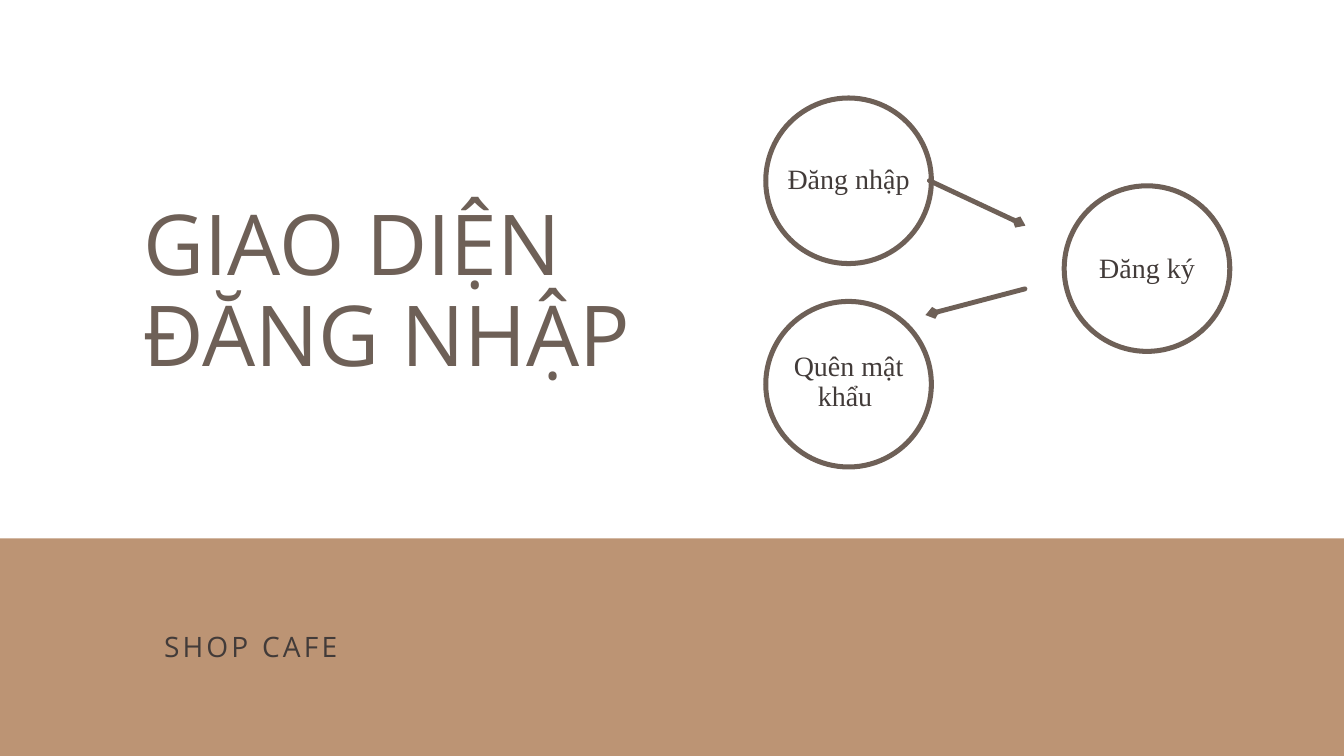
from dataclasses import dataclass

from lxml import etree
from pptx import Presentation
from pptx import util as u
from pptx.dml.color import RGBColor
from pptx.enum import shapes, text
from pptx.oxml.ns import qn


@dataclass(frozen=True)
class Theme:
    brown: RGBColor = RGBColor(0x6E, 0x60, 0x57)
    tan: RGBColor = RGBColor(0xBC, 0x94, 0x74)
    ink: RGBColor = RGBColor(0x42, 0x3B, 0x39)
    sans: str = "Open Sans"
    serif: str = "Times New Roman"
    title_size: float = 90
    caption_size: float = 30.1
    node_size: float = 30
    arrow_width: float = 5.25


THEME = Theme()
SLIDE_WIDTH, SLIDE_HEIGHT = 50.8, 28.58
CIRCLE_DIAMETER, RING_WIDTH = 6.45, 0.19
LABEL_WIDTH = 5.79


def add_label(slide, box, wording, font, size, color, line_height,
              align=text.PP_ALIGN.LEFT, tracking=0):
    label = slide.shapes.add_textbox(*map(u.Cm, box))
    frame = label.text_frame
    frame.word_wrap = True
    frame.margin_left = frame.margin_right = 0
    frame.margin_top = frame.margin_bottom = 0
    paragraph = frame.paragraphs[0]
    paragraph.alignment = align
    paragraph.line_spacing = u.Pt(line_height)
    run = paragraph.add_run()
    run.text = wording
    run.font.name = font
    run.font.size = u.Pt(size)
    run.font.color.rgb = color
    if tracking:
        run.font._element.set("spc", str(round(tracking * 100)))


def add_filled_shape(slide, preset, box, color):
    shape = slide.shapes.add_shape(preset, *map(u.Cm, box))
    shape.shadow.inherit = False
    shape.fill.solid()
    shape.fill.fore_color.rgb = color
    shape.line.fill.background()
    return shape


def add_node(slide, left, top, wording, label_top, label_height):
    box = (left, top, CIRCLE_DIAMETER, CIRCLE_DIAMETER)
    ring = add_filled_shape(slide, shapes.MSO_SHAPE.DONUT, box, THEME.brown)
    ring.adjustments[0] = RING_WIDTH / CIRCLE_DIAMETER
    label_left = left + (CIRCLE_DIAMETER - LABEL_WIDTH) / 2
    add_label(slide, (label_left, top + label_top, LABEL_WIDTH, label_height),
              wording, THEME.serif, THEME.node_size, THEME.ink, 31.8,
              text.PP_ALIGN.CENTER)


def add_arrow(slide, start, end):
    arrow = slide.shapes.add_connector(
        shapes.MSO_CONNECTOR.STRAIGHT, *map(u.Cm, start + end))
    arrow.line.color.rgb = THEME.brown
    arrow.line.width = u.Pt(THEME.arrow_width)
    line = arrow.line._get_or_add_ln()
    line.set("cap", "rnd")
    etree.SubElement(line, qn("a:tailEnd"), type="arrow", w="sm", len="sm")
    etree.SubElement(arrow._element.spPr, qn("a:effectLst"))


def add_flow(slide, left, top):
    nodes = (
        (0, 7.69, "Quên mật khẩu ", 2.03, 2.41),
        (0, 0, "Đăng nhập", 2.64, 1.32),
        (11.28, 3.32, "Đăng ký", 2.69, 1.32),
    )
    for x, y, wording, label_top, label_height in nodes:
        add_node(slide, left + x, top + y, wording, label_top, label_height)
    arrows = (
        ((6.28, 3.22), (9.91, 4.92)),
        ((9.89, 7.31), (6.13, 8.3)),
    )
    for (x1, y1), (x2, y2) in arrows:
        add_arrow(slide, (left + x1, top + y1), (left + x2, top + y2))


def add_footer(slide, left, top, width, height):
    add_filled_shape(slide, shapes.MSO_SHAPE.RECTANGLE,
                     (left, top, width, height), THEME.tan)
    add_label(slide, (left + 6.2, top + 3.58, 12.24, 1.14), "SHOP CAFE",
              THEME.sans, THEME.caption_size, THEME.ink, 32.8, tracking=3.4)


def add_title(slide, left, top, width, height):
    add_label(slide, (left, top, width, height), "GIAO DIỆN ĐĂNG NHẬP",
              THEME.sans, THEME.title_size, THEME.brown, 97.2)


def main():
    presentation = Presentation()
    presentation.slide_width = u.Cm(SLIDE_WIDTH)
    presentation.slide_height = u.Cm(SLIDE_HEIGHT)
    slide = presentation.slides.add_slide(presentation.slide_layouts[6])
    footer_top = 20.35
    add_footer(slide, 0, footer_top, SLIDE_WIDTH, SLIDE_HEIGHT - footer_top)
    add_title(slide, 5.41, 7.62, 19.56, 6.91)
    add_flow(slide, 28.85, 3.61)
    presentation.save("out.pptx")


if __name__ == "__main__":
    main()
